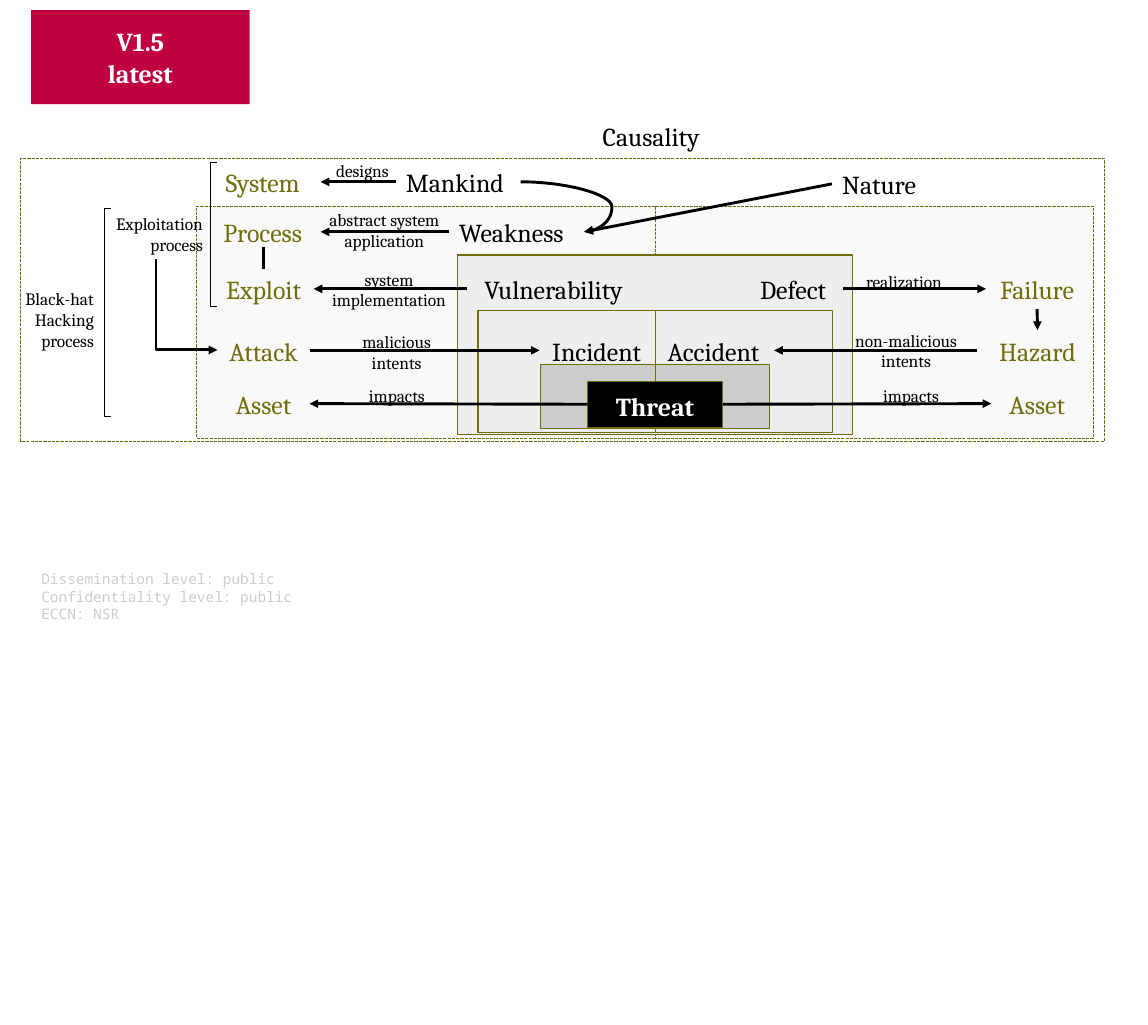
"""Build the causality slide that links threats, weaknesses and assets."""
from dataclasses import dataclass

from lxml import etree
from pptx import Presentation
from pptx.dml.color import RGBColor as Rgb
from pptx.enum import dml, shapes as kinds, text as txt
from pptx.oxml.ns import qn
from pptx.util import Cm, Pt

LEFT, MID, RIGHT = txt.PP_ALIGN.LEFT, txt.PP_ALIGN.CENTER, txt.PP_ALIGN.RIGHT
LINE, CURVE, ELBOW = (kinds.MSO_CONNECTOR.STRAIGHT, kinds.MSO_CONNECTOR.CURVE,
                      kinds.MSO_CONNECTOR.ELBOW)


@dataclass(frozen=True)
class Theme:
    """Colours, fonts and type sizes."""
    black: str = "000000"
    white: str = "FFFFFF"
    olive: str = "706E0C"
    pale: str = "F9F9F9"
    light: str = "EEEEEE"
    grey: str = "CCCCCC"
    red: str = "BF0041"
    serif: str = "Cambria"
    mono: str = "Noto Sans Mono"
    big: float = 17.9
    small: float = 12
    tiny: float = 10


T = Theme()


@dataclass(frozen=True)
class Panel:
    """A filled box, in centimetres."""
    x: float
    y: float
    w: float
    h: float
    fill: str
    dash: bool = False
    tag: str = ""


@dataclass(frozen=True)
class Label:
    """A text box with one paragraph per line."""
    x: float
    y: float
    w: float
    words: str
    align: int = MID
    color: str = T.black
    size: float = T.big
    bold: bool = False
    tag: str = ""


@dataclass(frozen=True)
class Link:
    """An arrow from a side of one box to a side of another."""
    start: str
    side: int
    end: str
    stop: int
    kind: int = LINE


AXIS = 15.98
PANELS = [
    Panel(0.51, 3.86, 26.42, 6.91, T.white, True),
    Panel(4.8, 5.03, 11.18, 5.66, T.pale, True),
    Panel(AXIS, 5.03, 10.69, 5.66, T.pale, True),
    Panel(11.15, 6.22, 9.65, 4.39, T.light),
    Panel(AXIS - 4.32, 7.57, 4.32, 2.97, T.light),
    Panel(AXIS, 7.57, 4.32, 2.97, T.light),
    Panel(AXIS - 2.8, 8.89, 2.8, 1.57, T.grey),
    Panel(AXIS, 8.89, 2.8, 1.57, T.grey),
    Panel(AXIS - 1.65, 9.3, 3.3, 1.12, T.black, tag="Core"),
]
LABELS = [
    Label(14.45, 2.82, 3.05, "Causality", LEFT),
    Label(9.65, 3.94, 3.05, "Mankind", LEFT),
    Label(20.29, 3.99, 2.54, "Nature", LEFT),
    Label(10.95, 5.16, 3.3, "Weakness", LEFT),
    Label(11.38, 6.55, 4.06, "Vulnerability", RIGHT),
    Label(18.29, 6.55, 2.26, "Defect", LEFT),
    Label(13.16, 8.05, 2.79, "Incident"),
    Label(15.93, 8.05, 2.95, "Accident"),
    Label(14.5, 9.4, 2.95, "Threat", color=T.white, bold=True),
    Label(5, 3.94, 2.82, "System", color=T.olive),
    Label(5, 5.16, 2.82, "Process", color=T.olive),
    Label(5.21, 6.55, 2.44, "Exploit", color=T.olive),
    Label(5.31, 8.05, 2.24, "Attack", color=T.olive),
    Label(5.31, 9.35, 2.24, "Asset", color=T.olive, tag="Near"),
    Label(24.05, 6.55, 2.49, "Failure", color=T.olive),
    Label(23.83, 8.05, 2.95, "Hazard", color=T.olive),
    Label(24.18, 9.35, 2.24, "Asset", color=T.olive, tag="Far"),
    Label(7.57, 3.78, 2.54, "designs", size=T.small),
    Label(6.96, 4.98, 4.83, "abstract system\napplication", size=T.small),
    Label(7.7, 6.43, 3.58, "system\nimplementation", size=T.small),
    Label(8.2, 7.95, 2.95, "malicious\nintents", size=T.small),
    Label(8.59, 9.27, 2.18, "impacts", size=T.small),
    Label(20.27, 6.5, 3.56, "realization", size=T.small),
    Label(20.45, 7.92, 3.3, "non-malicious\nintents", size=T.small),
    Label(21.13, 9.27, 2.18, "impacts", size=T.small),
    Label(2.41, 5.08, 2.79, "Exploitation\nprocess", RIGHT, size=T.small),
    Label(0, 6.91, 2.54, "Black-hat\nHacking\nprocess", RIGHT, size=T.small),
]
LINKS = [
    Link("Mankind", 1, "System", 3),
    Link("Mankind", 3, "Weakness", 3, CURVE),
    Link("Nature", 1, "Weakness", 3),
    Link("Weakness", 1, "Process", 3),
    Link("Vulnerability", 1, "Exploit", 3),
    Link("Attack", 3, "Incident", 1),
    Link("Core", 1, "Near", 3),
    Link("Core", 3, "Far", 1),
    Link("Defect", 3, "Failure", 1),
    Link("Failure", 2, "Hazard", 0),
    Link("Hazard", 1, "Accident", 3),
]
BRACKETS = [(5.13, 3.96, 7.47), (2.54, 5.08, 10.16)]


def write(frame, words: str, align: int, color: str, size: float,
          bold: bool = False, face: str = T.serif) -> None:
    """Fill a text frame, one paragraph per line."""
    for i, line in enumerate(words.split("\n")):
        para = frame.add_paragraph() if i else frame.paragraphs[0]
        para.alignment = align
        run = para.add_run()
        run.text = line
        font = run.font
        font.name, font.size, font.bold = face, Pt(size), bold
        font.color.rgb = Rgb.from_string(color)


def stroke(shape, color: str) -> None:
    """Give a shape a hairline."""
    shape.line.color.rgb = Rgb.from_string(color)
    shape.line.width = Cm(0)


def draw_panel(slide, p: Panel):
    """Draw a filled box with an olive edge."""
    box = slide.shapes.add_shape(kinds.MSO_SHAPE.RECTANGLE,
                                 Cm(p.x), Cm(p.y), Cm(p.w), Cm(p.h))
    box.shadow.inherit = False
    box.fill.solid()
    box.fill.fore_color.rgb = Rgb.from_string(p.fill)
    stroke(box, T.olive)
    if p.dash:
        box.line.dash_style = dml.MSO_LINE.SQUARE_DOT
    return box


def draw_label(slide, l: Label):
    """Draw a text box as high as its lines."""
    rows = l.words.count("\n") + 1
    high = 0.99 if l.size == T.big else 0.25 + 0.49 * rows
    box = slide.shapes.add_textbox(Cm(l.x), Cm(l.y), Cm(l.w), Cm(high))
    box.text_frame.word_wrap = True
    write(box.text_frame, l.words, l.align, l.color, l.size, l.bold)
    return box


def draw_line(slide, kind: int, x: float = 0, y: float = 0, right: float = 0,
              low: float = 0, arrow: bool = True):
    """Draw a black connector without shadow."""
    line = slide.shapes.add_connector(kind, Cm(x), Cm(y), Cm(right), Cm(low))
    stroke(line, T.black)
    props = line.element.spPr
    if arrow:
        etree.SubElement(props.find(qn("a:ln")), qn("a:tailEnd"), type="triangle")
    etree.SubElement(props, qn("a:effectLst"))
    return line


def draw_link(slide, link: Link, nodes: dict) -> None:
    """Join two boxes with an arrow."""
    line = draw_line(slide, link.kind)
    line.begin_connect(nodes[link.start], link.side)
    line.end_connect(nodes[link.end], link.stop)
    if link.kind == CURVE:
        bend = line.element.spPr.find(qn("a:prstGeom")).get_or_add_avLst()
        etree.SubElement(bend, qn("a:gd"), name="adj1", fmla="val 143700")


def draw_elbow(slide) -> None:
    """Lead from the exploitation process down to the attack."""
    line = draw_line(slide, ELBOW, 3.45, 6.68, 5.66, 8.18)
    props = line.element.spPr
    props.find(qn("a:prstGeom")).set("prst", "bentConnector2")
    props.find(qn("a:xfrm")).set("rot", "16200000")
    props.find(qn("a:xfrm")).set("flipH", "1")


def draw_bracket(slide, x: float, top: float, low: float) -> None:
    """Draw a square bracket open to the right."""
    tip = Cm(x + 0.17)
    pen = slide.shapes.build_freeform(tip, Cm(top))
    pen.add_line_segments([(Cm(x), Cm(top)), (Cm(x), Cm(low)), (tip, Cm(low))], close=False)
    shape = pen.convert_to_shape()
    shape.shadow.inherit = False
    shape.fill.background()
    stroke(shape, T.black)


def main() -> None:
    """Build and save the slide."""
    deck = Presentation()
    deck.slide_width, deck.slide_height = Cm(28), Cm(25)
    slide = deck.slides.add_slide(deck.slide_layouts[6])
    nodes = {p.tag: draw_panel(slide, p) for p in PANELS}
    nodes |= {l.tag or l.words: draw_label(slide, l) for l in LABELS}
    for link in LINKS:
        draw_link(slide, link, nodes)
    stem = draw_line(slide, LINE, 6.43, 6.02, 6.43, 6.55, arrow=False)
    stem.end_connect(nodes["Exploit"], 0)
    draw_elbow(slide)
    for marks in BRACKETS:
        draw_bracket(slide, *marks)
    badge = draw_panel(slide, Panel(0.76, 0.25, 5.33, 2.29, T.red))
    badge.line.fill.background()
    badge.text_frame.vertical_anchor = txt.MSO_ANCHOR.MIDDLE
    write(badge.text_frame, "V1.5\nlatest", MID, T.white, T.big, True)
    note = slide.shapes.add_textbox(Cm(0.76), Cm(13.79), Cm(14.76), Cm(1.47))
    note.text_frame.word_wrap = True
    write(note.text_frame, "Dissemination level: public\nConfidentiality level: public\nECCN: NSR",
          LEFT, T.grey, T.tiny, face=T.mono)
    deck.save("out.pptx")


if __name__ == "__main__":
    main()
